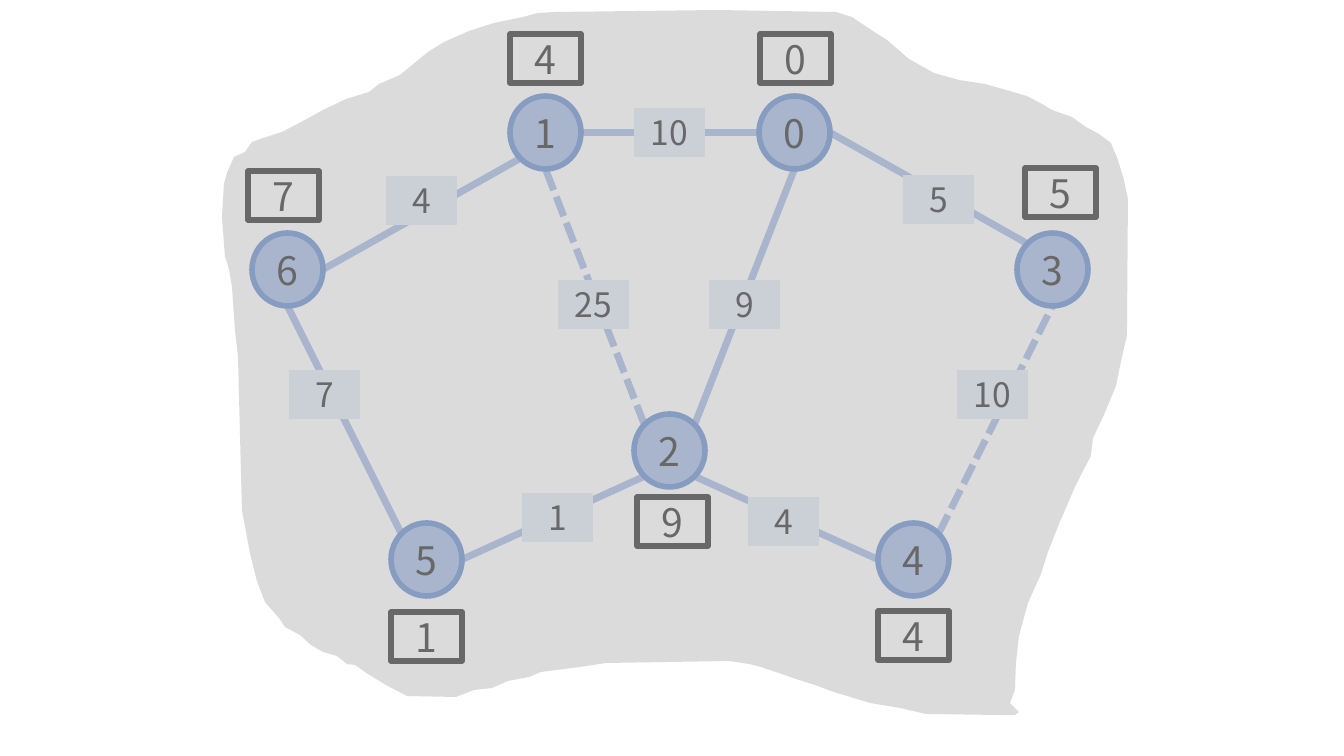
from dataclasses import dataclass
from math import cos, radians, sin

from lxml.etree import SubElement
from pptx import Presentation
from pptx.dml.color import RGBColor
from pptx.enum.dml import MSO_LINE
from pptx.enum.shapes import MSO_CONNECTOR, MSO_SHAPE
from pptx.enum.text import MSO_ANCHOR, PP_ALIGN
from pptx.oxml.ns import qn
from pptx.util import Pt

SCALE = 914400 / 100.8


@dataclass(frozen=True)
class Theme:
    """Colours, type sizes and line widths of the slide."""
    font: str = "Noto Sans CJK KR"
    ink: str = "000000"
    paper: str = "FFFFFF"
    node: str = "8FAADC"
    rim: str = "4472C4"
    weight: str = "DAE3F3"
    veil: str = "BFBFBF"
    veil_alpha: int = 55
    large: int = 28
    small: int = 24
    edge_width: int = 5
    rim_width: int = 4


THEME = Theme()
NODE_SIZE = (71, 73)
LABEL_SIZE = (71, 49)
TOP, TOP_LEFT, LEFT, BOTTOM_LEFT, BOTTOM, BOTTOM_RIGHT, RIGHT, TOP_RIGHT = range(90, 450, 45)

NODES = {
    "1": (288, 86), "0": (537, 86), "3": (795, 223), "4": (656, 513),
    "2": (412, 404), "6": (30, 223), "5": (169, 513),
}
EDGES = [
    ("2", TOP_LEFT, "1", BOTTOM, "25", (336, 270), True),
    ("1", BOTTOM_LEFT, "6", RIGHT, "4", (164, 166), False),
    ("5", TOP_LEFT, "6", BOTTOM, "7", (67, 360), False),
    ("2", BOTTOM_LEFT, "5", RIGHT, "1", (300, 483), False),
    ("4", LEFT, "2", BOTTOM_RIGHT, "4", (526, 487), False),
    ("4", TOP_RIGHT, "3", BOTTOM, "10", (735, 360), True),
    ("0", BOTTOM, "2", TOP_RIGHT, "9", (487, 270), False),
    ("1", RIGHT, "0", LEFT, "10", (412, 98), False),
    ("0", RIGHT, "3", TOP_LEFT, "5", (681, 165), False),
]
KEYS = [
    ("4", (288, 24)), ("9", (415, 487)), ("0", (538, 24)), ("5", (803, 158)),
    ("7", (26, 161)), ("1", (169, 602)), ("4", (656, 601)),
]
OUTLINE = [
    (793, 705), (779, 705), (704, 704), (678, 698), (648, 693), (612, 682), (593, 675),
    (574, 669), (554, 662), (539, 657), (527, 654), (507, 651), (384, 653), (358, 657),
    (319, 662), (307, 667), (286, 671), (270, 678), (252, 680), (234, 687), (185, 686),
    (164, 675), (146, 664), (133, 655), (125, 654), (115, 646), (101, 642), (89, 635),
    (78, 625), (63, 617), (57, 608), (43, 592), (35, 571), (28, 543), (20, 500),
    (16, 345), (13, 320), (10, 276), (7, 259), (3, 246), (0, 207), (2, 174), (5, 163),
    (12, 147), (23, 142), (30, 132), (41, 128), (60, 122), (81, 111), (101, 100),
    (124, 89), (147, 82), (157, 74), (178, 65), (206, 42), (222, 32), (247, 21),
    (272, 13), (301, 7), (316, 3), (333, 2), (495, 0), (614, 2), (630, 7), (651, 21),
    (665, 30), (687, 49), (712, 63), (737, 70), (763, 74), (788, 81), (805, 86),
    (822, 95), (830, 100), (850, 107), (864, 117), (877, 124), (889, 133), (896, 150),
    (902, 170), (906, 189), (905, 326), (900, 347), (894, 376), (882, 405), (871, 428),
    (869, 446), (860, 463), (853, 477), (837, 514), (826, 542), (819, 564), (806, 593),
    (797, 626), (794, 653), (793, 680), (788, 693), (797, 702),
]


def emu(pixels):
    """Turn pixels into EMU."""
    return round(pixels * SCALE)


def rgb(colour):
    """Turn a hex string into a colour."""
    return RGBColor.from_string(colour)


def rim_point(node, angle):
    """Return the point on a node's rim at an angle in degrees."""
    left, top = NODES[node]
    width, height = NODE_SIZE
    turn = radians(angle)
    return left + width / 2 * (1 + cos(turn)), top + height / 2 * (1 - sin(turn))


def add_label(slide, kind, origin, place, size, text, points, fill, line=None):
    """Add a filled shape with one centred text run."""
    left, top = origin[0] + place[0], origin[1] + place[1]
    shape = slide.shapes.add_shape(kind, emu(left), emu(top), emu(size[0]), emu(size[1]))
    shape.shadow.inherit = False
    shape.fill.solid()
    shape.fill.fore_color.rgb = rgb(fill)
    if line:
        shape.line.color.rgb = rgb(line)
        shape.line.width = Pt(THEME.rim_width)
    else:
        shape.line.fill.background()
    shape.text_frame.vertical_anchor = MSO_ANCHOR.MIDDLE
    paragraph = shape.text_frame.paragraphs[0]
    paragraph.alignment = PP_ALIGN.CENTER
    run = paragraph.add_run()
    run.text = text
    run.font.name = THEME.font
    run.font.size = Pt(points)
    run.font.color.rgb = rgb(THEME.ink)


def add_edge(slide, origin, start, end, dashed):
    """Add a straight edge between two points."""
    ends = [emu(origin[axis] + point[axis]) for point in (start, end) for axis in (0, 1)]
    connector = slide.shapes.add_connector(MSO_CONNECTOR.STRAIGHT, *ends)
    connector.line.color.rgb = rgb(THEME.node)
    connector.line.width = Pt(THEME.edge_width)
    if dashed:
        connector.line.dash_style = MSO_LINE.SQUARE_DOT
    SubElement(connector._element.spPr, qn("a:effectLst"))


def add_graph(slide, origin):
    """Add the edges, nodes, edge weights and node keys of the graph."""
    for start, start_angle, end, end_angle, _, _, dashed in EDGES:
        add_edge(slide, origin, rim_point(start, start_angle), rim_point(end, end_angle), dashed)
    for name, place in NODES.items():
        add_label(slide, MSO_SHAPE.OVAL, origin, place, NODE_SIZE, name,
                  THEME.large, THEME.node, THEME.rim)
    for *_, weight, place, _ in EDGES:
        add_label(slide, MSO_SHAPE.RECTANGLE, origin, place, LABEL_SIZE, weight,
                  THEME.small, THEME.weight)
    for key, place in KEYS:
        add_label(slide, MSO_SHAPE.RECTANGLE, origin, place, LABEL_SIZE, key,
                  THEME.large, THEME.paper, THEME.ink)


def add_veil(slide, origin):
    """Add the translucent hand-drawn area that covers the graph."""
    builder = slide.shapes.build_freeform(*OUTLINE[0], scale=SCALE)
    builder.add_line_segments(OUTLINE[1:], close=True)
    veil = builder.convert_to_shape(emu(origin[0]), emu(origin[1]))
    veil.shadow.inherit = False
    veil.line.fill.background()
    veil.fill.solid()
    veil.fill.fore_color.rgb = rgb(THEME.veil)
    colour = veil._element.spPr.find(qn("a:solidFill")).find(qn("a:srgbClr"))
    SubElement(colour, qn("a:alpha")).set("val", str(THEME.veil_alpha * 1000))


def main():
    """Build the slide and save it."""
    presentation = Presentation()
    presentation.slide_width, presentation.slide_height = emu(1344), emu(756)
    slide = presentation.slides.add_slide(presentation.slide_layouts[6])
    origin = (222, 10)
    add_graph(slide, origin)
    add_veil(slide, origin)
    presentation.save("out.pptx")


main()
